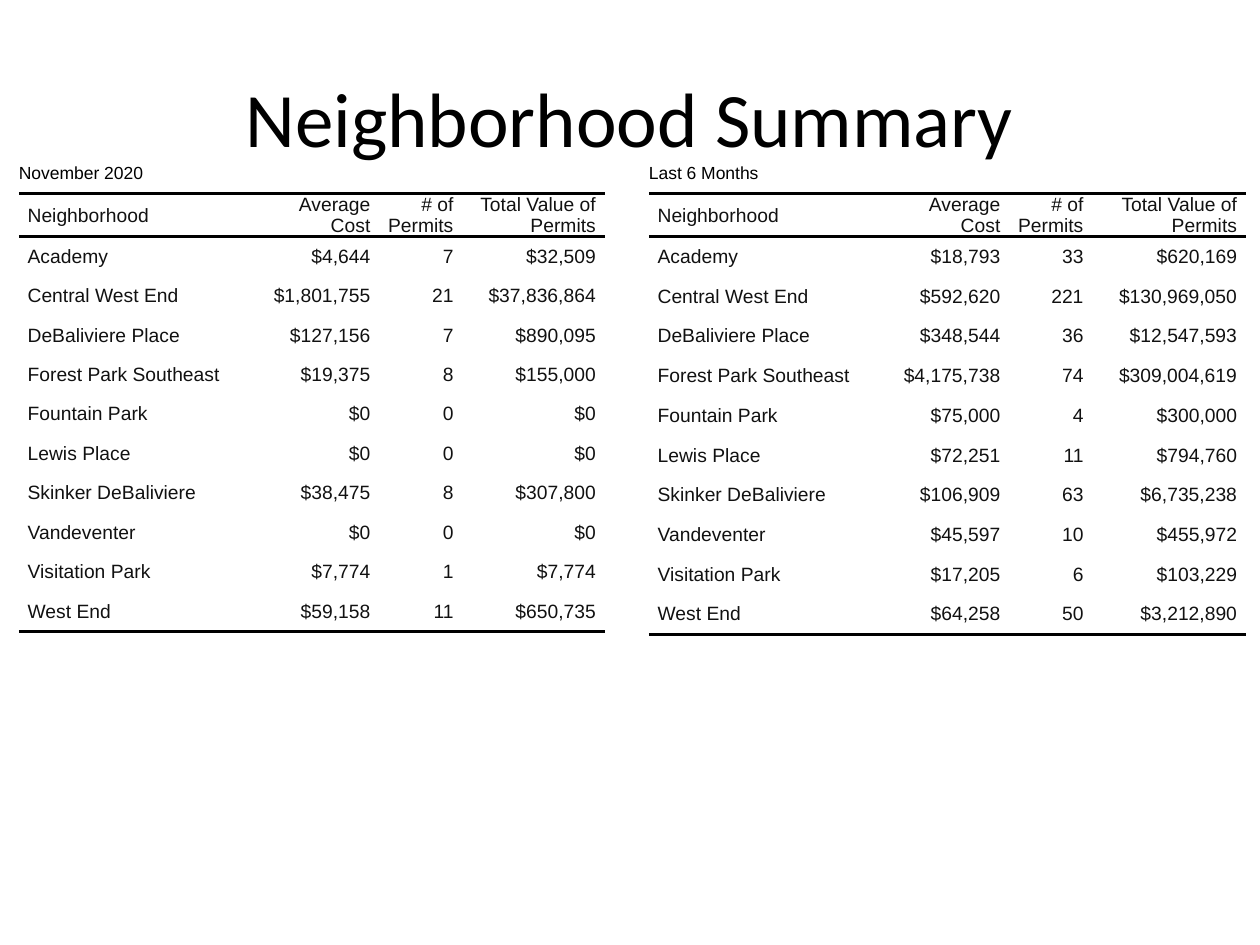
from lxml import etree
from pptx import Presentation
from pptx.dml.color import RGBColor
from pptx.enum.text import MSO_ANCHOR, PP_ALIGN
from pptx.oxml.ns import qn
from pptx.util import Pt

MIDDLE = MSO_ANCHOR.MIDDLE
LEFT, CENTER, RIGHT = PP_ALIGN.LEFT, PP_ALIGN.CENTER, PP_ALIGN.RIGHT
PLAIN_STYLE = "{2D5ABB26-0587-4C30-8999-92F81FD0307C}"
BLACK, INK = "000000", "111111"
INDENT = Pt(5)
CAPTION_H, HEAD_H = 23, 24.2

HEADS = ["Neighborhood", "Average Cost", "# of Permits", "Total Value of Permits"]
NAMES = ["Academy", "Central West End", "DeBaliviere Place", "Forest Park Southeast",
         "Fountain Park", "Lewis Place", "Skinker DeBaliviere", "Vandeventer",
         "Visitation Park", "West End"]
MONTH = [
    ("$4,644", "7", "$32,509"),
    ("$1,801,755", "21", "$37,836,864"),
    ("$127,156", "7", "$890,095"),
    ("$19,375", "8", "$155,000"),
    ("$0", "0", "$0"),
    ("$0", "0", "$0"),
    ("$38,475", "8", "$307,800"),
    ("$0", "0", "$0"),
    ("$7,774", "1", "$7,774"),
    ("$59,158", "11", "$650,735"),
]
HALF_YEAR = [
    ("$18,793", "33", "$620,169"),
    ("$592,620", "221", "$130,969,050"),
    ("$348,544", "36", "$12,547,593"),
    ("$4,175,738", "74", "$309,004,619"),
    ("$75,000", "4", "$300,000"),
    ("$72,251", "11", "$794,760"),
    ("$106,909", "63", "$6,735,238"),
    ("$45,597", "10", "$455,972"),
    ("$17,205", "6", "$103,229"),
    ("$64,258", "50", "$3,212,890"),
]


def color(code):
    return RGBColor.from_string(code)


def style(para, font, size, code, align):
    para.alignment = align
    for run in para.runs:
        run.font.name = font
        run.font.size = Pt(size)
        run.font.color.rgb = color(code)


def rule(cell, sides):
    """Draw a 2 pt line on each named side: T for top, B for bottom."""
    props = cell._tc.get_or_add_tcPr()
    for spot, side in enumerate(sides):
        line = etree.Element(qn(f"a:ln{side}"), w=str(Pt(2)))
        fill = etree.SubElement(line, qn("a:solidFill"))
        etree.SubElement(fill, qn("a:srgbClr"), val=BLACK)
        props.insert(spot, line)


def fill_cell(cell, text):
    cell.margin_left = cell.margin_right = cell.margin_top = cell.margin_bottom = 0
    cell.vertical_anchor = MIDDLE
    cell.fill.background()
    cell.text_frame.text = text
    return cell.text_frame.paragraphs[0]


def add_title(slide, text, left, top, width, height):
    title = slide.shapes.title
    title.left, title.top = Pt(left), Pt(top)
    title.width, title.height = Pt(width), Pt(height)
    title.text_frame.text = text
    title.text_frame.vertical_anchor = MIDDLE
    style(title.text_frame.paragraphs[0], "Calibri", 44, BLACK, CENTER)


def add_permits(slide, caption, values, left, top, widths, row_h):
    rows = [HEADS] + [(name, *row) for name, row in zip(NAMES, values)]
    heights = [CAPTION_H, HEAD_H] + [row_h] * len(values)
    frame = slide.shapes.add_table(len(heights), len(widths), Pt(left), Pt(top),
                                   Pt(sum(widths)), Pt(sum(heights)))
    table = frame.table
    table.first_row = table.horz_banding = False
    table._tbl.tblPr.find(qn("a:tableStyleId")).text = PLAIN_STYLE
    for col, width in zip(table.columns, widths):
        col.width = Pt(width)
    for row, height in zip(table.rows, heights):
        row.height = Pt(height)

    table.cell(0, 0).merge(table.cell(0, len(widths) - 1))
    style(fill_cell(table.cell(0, 0), caption), "Arial", 10, BLACK, LEFT)
    for r, row in enumerate(rows, 1):
        for c, text in enumerate(row):
            cell = table.cell(r, c)
            para = fill_cell(cell, text)
            style(para, "Arial", 11, INK, RIGHT if c else LEFT)
            props = para._p.get_or_add_pPr()
            for side in ("marL", "marR"):
                props.set(side, str(INDENT))
            props.set("indent", "0")
            if r == 1:
                rule(cell, "TB")
            elif r == len(rows):
                rule(cell, "B")


def main():
    deck = Presentation()
    deck.slide_width, deck.slide_height = Pt(720), Pt(540)
    slide = deck.slides.add_slide(deck.slide_layouts[5])
    add_title(slide, "Neighborhood Summary", 36, 21.6, 648, 90)
    cols = [130.3, 75.6, 47.5]
    add_permits(slide, "November 2020", MONTH, 10.8, 87.8, cols + [81.4], 22.55)
    add_permits(slide, "Last 6 Months", HALF_YEAR, 370.8, 87.8, cols + [87.8], 22.73)
    deck.save("out.pptx")


if __name__ == "__main__":
    main()
